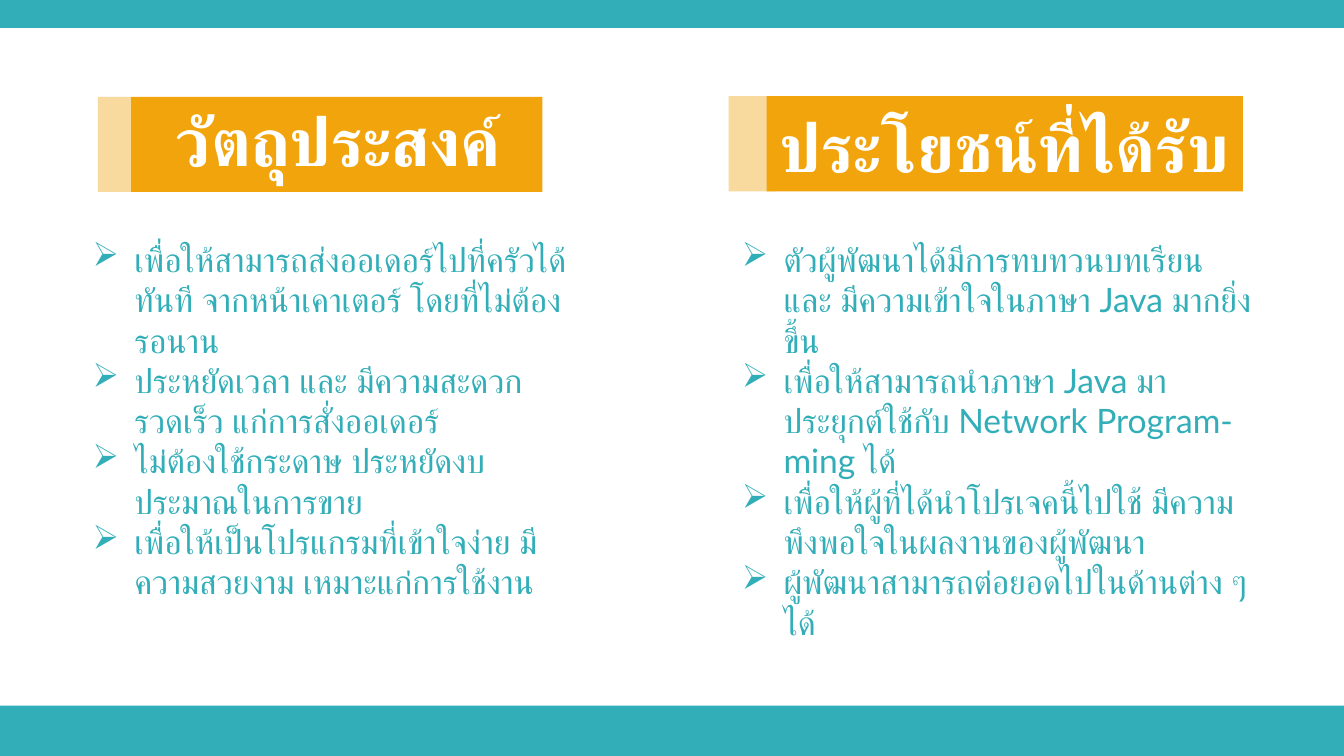
from dataclasses import dataclass

from lxml.etree import SubElement
from pptx import Presentation
from pptx.dml.color import RGBColor
from pptx.enum.lang import MSO_LANGUAGE_ID as Lang
from pptx.enum.shapes import MSO_SHAPE as Shape
from pptx.enum.text import MSO_ANCHOR as Anchor, MSO_AUTO_SIZE as Fit, PP_ALIGN as Align
from pptx.oxml.ns import qn
from pptx.util import Cm, Pt

TEAL = RGBColor(0x32, 0xAE, 0xB8)
AMBER = RGBColor(0xF2, 0xA4, 0x0D)
WHITE = RGBColor(0xFF, 0xFF, 0xFF)
FONT = "Lato"
WIDTH, HEIGHT = 25.4, 14.29
INDENT = 0.79


@dataclass
class Box:
    left: float
    top: float
    width: float
    height: float

    def cm(self) -> list:
        return [Cm(v) for v in (self.left, self.top, self.width, self.height)]


@dataclass
class Column:
    title: str
    points: list[str]
    tab: Box
    banner: Box
    head: Box
    body: Box


BARS = [Box(0, 0, WIDTH, 0.53), Box(0, 13.34, WIDTH, HEIGHT - 13.34)]

COLUMNS = [
    Column(
        "วัตถุประสงค์",
        [
            "เพื่อให้สามารถส่งออเดอร์ไปที่ครัวได้ทันที จากหน้าเคาเตอร์ โดยที่ไม่ต้องรอนาน",
            "ประหยัดเวลา และ มีความสะดวกรวดเร็ว แก่การสั่งออเดอร์",
            "ไม่ต้องใช้กระดาษ ประหยัดงบประมาณในการขาย",
            "เพื่อให้เป็นโปรแกรมที่เข้าใจง่าย มีความสวยงาม เหมาะแก่การใช้งาน",
        ],
        tab=Box(1.85, 1.83, 0.63, 1.8),
        banner=Box(2.48, 1.83, 7.77, 1.8),
        head=Box(3.07, 1.75, 9, 1.8),
        body=Box(1.5, 4.39, 9.5, 7.95),
    ),
    Column(
        "ประโยชน์ที่ได้รับ",
        [
            "ตัวผู้พัฒนาได้มีการทบทวนบทเรียน และ มีความเข้าใจในภาษา Java มากยิ่งขึ้น",
            "เพื่อให้สามารถนำภาษา Java มาประยุกต์ใช้กับ Network Program-ming ได้",
            "เพื่อให้ผู้ที่ได้นำโปรเจคนี้ไปใช้ มีความพึงพอใจในผลงานของผู้พัฒนา",
            "ผู้พัฒนาสามารถต่อยอดไปในด้านต่าง ๆ ได้",
        ],
        tab=Box(13.77, 1.82, 0.89, 1.8),
        banner=Box(14.49, 1.82, 9, 1.8),
        head=Box(14.49, 1.86, 9, 1.8),
        body=Box(13.77, 4.39, 10.13, 7.95),
    ),
]


def draw_rect(slide, box: Box, color: RGBColor, alpha: int = 100) -> None:
    rect = slide.shapes.add_shape(Shape.RECTANGLE, *box.cm())
    rect.shadow.inherit = False
    rect.line.fill.background()
    rect.fill.solid()
    rect.fill.fore_color.rgb = color
    if alpha < 100:
        tint = rect.fill._xPr.find(".//" + qn("a:srgbClr"))
        SubElement(tint, qn("a:alpha"), val=str(alpha * 1000))


def write(shape, lines: list[str], *, size: int, color: RGBColor,
          bold: bool = False, bullet: str = "") -> None:
    frame = shape.text_frame
    frame.word_wrap = True
    frame.auto_size = Fit.SHAPE_TO_FIT_TEXT
    frame.vertical_anchor = Anchor.TOP
    for i, line in enumerate(lines):
        para = frame.add_paragraph() if i else frame.paragraphs[0]
        para.alignment = Align.LEFT
        if bullet:
            props = para._p.get_or_add_pPr()
            props.set("marL", str(Cm(INDENT)))
            props.set("indent", str(-Cm(INDENT)))
            SubElement(props, qn("a:buChar"), char=bullet)
        run = para.add_run()
        run.text = line
        font = run.font
        font.size, font.bold = Pt(size), bold
        font.color.rgb = color
        font.name = FONT
        font.language_id = Lang.THAI
        # Thai takes the complex-script typeface
        for tag in ("a:ea", "a:cs"):
            SubElement(font._rPr, qn(tag), typeface=FONT)


def draw_column(slide, col: Column, head) -> None:
    draw_rect(slide, col.banner, AMBER)
    draw_rect(slide, col.tab, AMBER, alpha=40)
    # Bring the heading in front of its banner
    slide.shapes._spTree.append(head._element)
    head.left, head.top, head.width, head.height = col.head.cm()
    write(head, [col.title], size=36, color=WHITE, bold=True)
    body = slide.shapes.add_textbox(*col.body.cm())
    write(body, col.points, size=18, color=TEAL, bullet="➢")


def main() -> None:
    deck = Presentation()
    deck.slide_width, deck.slide_height = Cm(WIDTH), Cm(HEIGHT)
    slide = deck.slides.add_slide(deck.slide_layouts[5])

    # Top and bottom bars
    for bar in BARS:
        draw_rect(slide, bar, TEAL)

    # Two columns: the first heading is the slide title
    left, right = COLUMNS
    draw_column(slide, left, slide.shapes.title)
    draw_column(slide, right, slide.shapes.add_textbox(*right.head.cm()))

    deck.save("out.pptx")


if __name__ == "__main__":
    main()
